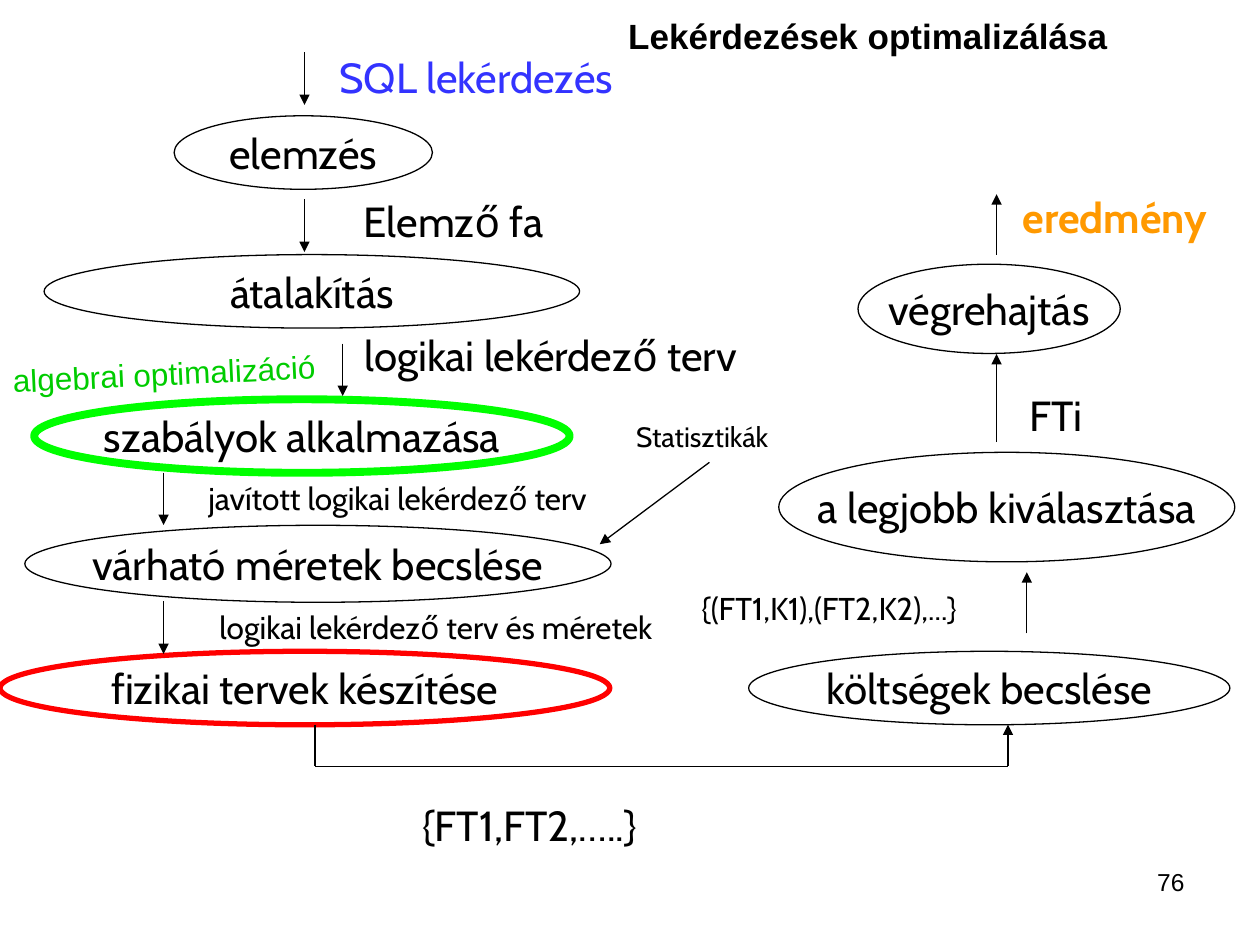
"""Builds the query optimization flow slide."""
from lxml import etree
from pptx import Presentation
from pptx.dml.color import RGBColor
from pptx.enum.shapes import MSO_CONNECTOR, MSO_SHAPE
from pptx.enum.text import MSO_ANCHOR, MSO_AUTO_SIZE, PP_ALIGN as AL
from pptx.oxml.ns import qn
from pptx.util import Pt


def rgb(color):
    """Return the colour for a hex string."""
    return RGBColor.from_string(color)


def write(sp, text, size, font="Cabin", color="000000", bold=False,
          align=AL.CENTER, anchor=MSO_ANCHOR.MIDDLE, wrap=False):
    """Put one formatted run into a shape."""
    tf = sp.text_frame
    tf.auto_size = MSO_AUTO_SIZE.NONE
    tf.word_wrap = wrap
    tf.vertical_anchor = anchor
    p = tf.paragraphs[0]
    p.alignment = align
    r = p.add_run()
    r.text = text
    r.font.size = Pt(size)
    r.font.name = font
    r.font.bold = bold
    r.font.color.rgb = rgb(color)


prs = Presentation()
prs.slide_width, prs.slide_height = Pt(720), Pt(540)
s = prs.slides.add_slide(prs.slide_layouts[5])

title = s.shapes.title
title.left, title.top, title.width, title.height = Pt(294.5), Pt(6.5), Pt(403), Pt(28)
write(title, "Lekérdezések optimalizálása", 20, "Arial", bold=True, wrap=True)

steps = [
    ("elemzés", 99.5, 66.2, 147.6, 42, "000000", 0.75),
    ("átalakítás", 25.2, 145.5, 306, 42, "000000", 0.75),
    ("szabályok alkalmazása", 19.5, 228.2, 306, 42, "00FF00", 4.5),
    ("várható méretek becslése", 14.2, 300.2, 335, 44, "000000", 0.75),
    ("fizikai tervek készítése", 0, 372.2, 348.5, 42, "FF0000", 3),
    ("költségek becslése", 427.8, 372.2, 275, 42, "000000", 0.75),
    ("a legjobb kiválasztása", 445, 258.5, 260.6, 62.6, "000000", 0.75),
    ("végrehajtás", 490.3, 151, 149.8, 51, "000000", 0.75),
]
for text, x, y, w, h, color, weight in steps:
    sp = s.shapes.add_shape(MSO_SHAPE.OVAL, Pt(x), Pt(y), Pt(w), Pt(h))
    sp.shadow.inherit = False
    sp.fill.solid()
    sp.fill.fore_color.rgb = rgb("FFFFFF")
    sp.line.color.rgb = rgb(color)
    sp.line.width = Pt(weight)
    write(sp, text, 24)

lines = [
    (180, 414, 180, 438, False),
    (180, 438, 576, 438, False),
    (576, 438, 576, 414, True),
    (586.8, 362, 586.8, 327, True),
    (569.5, 252.7, 569.5, 202.3, True),
    (569.5, 145.5, 569.5, 111, True),
    (174, 30, 174, 60, True),
    (174, 114, 174, 144, True),
    (195.8, 196.3, 195.8, 226.3, True),
    (93.5, 270, 93.5, 300, True),
    (93.5, 343.7, 93.5, 373.7, True),
    (405.4, 264.2, 342.7, 311, True),
]
for x1, y1, x2, y2, arrow in lines:
    cx = s.shapes.add_connector(MSO_CONNECTOR.STRAIGHT, Pt(x1), Pt(y1), Pt(x2), Pt(y2))
    cx.line.color.rgb = rgb("000000")
    cx.line.width = Pt(0.75)
    if arrow:
        etree.SubElement(cx.line._get_or_add_ln(), qn("a:tailEnd"), type="triangle")
    etree.SubElement(cx._element.spPr, qn("a:effectLst"))

labels = [
    ("SQL lekérdezés", 179.3, 26, 185.8, 36, 24, {"color": "3333FF"}),
    ("Elemző fa", 197.3, 108, 123.8, 36, 24, {}),
    ("logikai lekérdező terv", 187.2, 185, 255, 36, 24, {}),
    ("javított logikai lekérdező terv", 98, 270, 258.5, 29, 18, {}),
    ("logikai lekérdező terv és méretek", 102.2, 343.5, 293.8, 29, 18, {}),
    ("Statisztikák", 352, 236.2, 98.6, 26.6, 16, {}),
    ("{FT1,FT2,…..}", 224.6, 453, 156.2, 36, 24, {}),
    ("{(FT1,K1),(FT2,K2),...}", 393.8, 332.6, 198.7, 29, 18,
     {"align": AL.LEFT, "wrap": True}),
    ("FTi", 581, 219, 46, 36, 24, {"align": AL.LEFT}),
    ("eredmény", 574, 106, 126, 36, 24, {"color": "FF9900", "bold": True}),
    ("algebrai optimalizáció", 0, 196.6, 277.2, 28.8, 18,
     {"font": "Arial", "color": "00CC00", "align": AL.LEFT,
      "anchor": MSO_ANCHOR.TOP, "wrap": True}),
    ("76", 516.2, 491.8, 167.8, 37.4, 14,
     {"font": "Arial", "align": AL.RIGHT, "anchor": MSO_ANCHOR.TOP, "wrap": True}),
]
for text, x, y, w, h, size, style in labels:
    sp = s.shapes.add_textbox(Pt(x), Pt(y), Pt(w), Pt(h))
    write(sp, text, size, **style)
    if text == "algebrai optimalizáció":
        sp.rotation = -2.8

prs.save("out.pptx")
